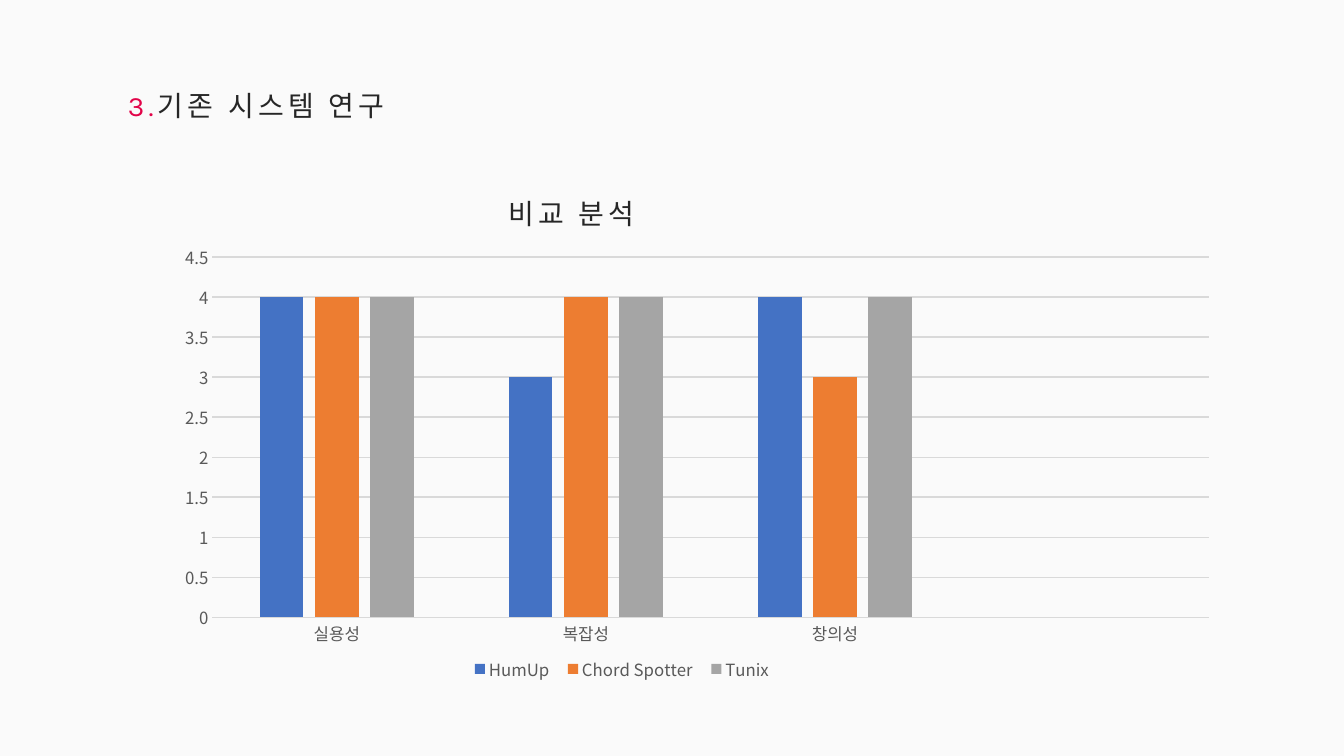
from dataclasses import dataclass

from lxml.etree import SubElement
from pptx import Presentation
from pptx.chart.axis import CategoryAxis, ValueAxis
from pptx.chart.data import CategoryChartData
from pptx.dml.color import RGBColor
from pptx.enum.chart import XL_CHART_TYPE, XL_LEGEND_POSITION, XL_TICK_MARK
from pptx.enum.text import MSO_AUTO_SIZE
from pptx.oxml import parse_xml
from pptx.oxml.ns import nsdecls, qn
from pptx.slide import Slide
from pptx.text.text import Font
from pptx.util import Inches, Pt

COLORS = {
    "background": "FAFAFA", "accent": "E20449", "heading": "262626",
    "label": "595959", "rule": "D9D9D9",
    "blue": "4472C4", "orange": "ED7D31", "gray": "A5A5A5",
}
KOREAN = "Noto Sans CJK KR"
SLIDE_W, SLIDE_H = Inches(13.33), Inches(7.5)
LETTER_SPACING = "300"
AXIS_FORMAT = {"major_tick_mark": XL_TICK_MARK.NONE, "minor_tick_mark": XL_TICK_MARK.NONE}
SCALE_FORMAT = {"minimum_scale": 0, "maximum_scale": 4.5, "major_unit": 0.5}


@dataclass(frozen=True)
class Box:
    """Shares of the width and height of whatever contains the box."""
    x: float
    y: float
    w: float
    h: float

    def on_slide(self) -> tuple[int, int, int, int]:
        return (int(self.x * SLIDE_W), int(self.y * SLIDE_H),
                int(self.w * SLIDE_W), int(self.h * SLIDE_H))


@dataclass(frozen=True)
class Span:
    text: str
    color: str
    font: str = KOREAN


@dataclass(frozen=True)
class Heading:
    box: Box
    spans: tuple[Span, ...]


@dataclass(frozen=True)
class Series:
    name: str
    values: tuple[int | None, ...]
    color: str


SECTION = Heading(Box(0.0878, 0.1107, 0.2213, 0.0587),
                  (Span("3.", "accent", "Karla"), Span("기존 시스템 연구", "heading")))
CHART_TITLE = Heading(Box(0.3706, 0.2533, 0.1155, 0.0587), (Span("비교 분석", "heading"),))
CHART_BOX = Box(0.1215, 0.3107, 0.7937, 0.6107)
PLOT_BOX = Box(0.046, 0.048, 0.934, 0.78)
LEGEND_BOX = Box(0.28, 0.91, 0.3, 0.06)
CATEGORIES = ("실용성", "복잡성", "창의성", "")
SERIES = (
    Series("HumUp", (4, 3, 4, None), "blue"),
    Series("Chord Spotter", (4, 4, 3, None), "orange"),
    Series("Tunix", (4, 4, 4, None), "gray"),
)


def rgb(name: str) -> RGBColor:
    return RGBColor.from_string(COLORS[name])


def style_font(font: Font, size: float, color: str, name: str = KOREAN) -> None:
    for attr, value in {"size": Pt(size), "name": name, "bold": False}.items():
        setattr(font, attr, value)
    font.color.rgb = rgb(color)


def add_heading(slide: Slide, heading: Heading) -> None:
    tf = slide.shapes.add_textbox(*heading.box.on_slide()).text_frame
    for attr, value in {"word_wrap": False, "auto_size": MSO_AUTO_SIZE.SHAPE_TO_FIT_TEXT}.items():
        setattr(tf, attr, value)
    p = tf.paragraphs[0]
    for span in heading.spans:
        r = p.add_run()
        r.text = span.text
        style_font(r.font, 20, span.color, span.font)
        props = r._r.get_or_add_rPr()
        props.set("spc", LETTER_SPACING)
        SubElement(props, qn("a:ea")).set("typeface", span.font)


def place_part(part, box: Box, index: int, inner: bool = False) -> None:
    """Give a plot area or legend a fixed place inside its chart."""
    for old in part.findall(qn("c:layout")):
        part.remove(old)
    target = '<c:layoutTarget val="inner"/>' if inner else ""
    modes = '<c:xMode val="edge"/><c:yMode val="edge"/>'
    sizes = "".join(f'<c:{k} val="{getattr(box, k)}"/>' for k in "xywh")
    part.insert(index, parse_xml(
        f'<c:layout {nsdecls("c")}><c:manualLayout>{target}{modes}{sizes}'
        "</c:manualLayout></c:layout>"))


def style_axis(axis: CategoryAxis | ValueAxis, formats: dict) -> None:
    for attr, value in formats.items():
        setattr(axis, attr, value)
    style_font(axis.tick_labels.font, 12, "label")


def add_comparison_chart(slide: Slide) -> None:
    data = CategoryChartData()
    data.categories = CATEGORIES
    for s in SERIES:
        data.add_series(s.name, s.values)
    chart = slide.shapes.add_chart(
        XL_CHART_TYPE.COLUMN_CLUSTERED, *CHART_BOX.on_slide(), data).chart
    chart.has_title = False
    style_font(chart.font, 10, "label")

    plot = chart.plots[0]
    for attr, value in {"gap_width": 219, "overlap": -27, "vary_by_categories": False}.items():
        setattr(plot, attr, value)
    for bars, s in zip(plot.series, SERIES):
        bars.format.fill.solid()
        bars.format.fill.fore_color.rgb = rgb(s.color)

    values, names = chart.value_axis, chart.category_axis
    style_axis(names, AXIS_FORMAT)
    style_axis(values, AXIS_FORMAT | SCALE_FORMAT | {"has_major_gridlines": True})
    values.format.line.fill.background()
    for line in (names.format.line, values.major_gridlines.format.line):
        line.width = Pt(0.75)
        line.color.rgb = rgb("rule")

    chart.has_legend = True
    legend = chart.legend
    legend.position = XL_LEGEND_POSITION.BOTTOM
    legend.include_in_layout = False
    style_font(legend.font, 12, "label")
    place_part(legend._element, LEGEND_BOX, 1)
    place_part(chart._chartSpace.chart.plotArea, PLOT_BOX, 0, inner=True)


def main() -> None:
    prs = Presentation()
    prs.slide_width, prs.slide_height = SLIDE_W, SLIDE_H
    slide = prs.slides.add_slide(prs.slide_layouts[6])
    slide.background.fill.solid()
    slide.background.fill.fore_color.rgb = rgb("background")
    add_heading(slide, SECTION)
    add_comparison_chart(slide)
    add_heading(slide, CHART_TITLE)
    prs.save("out.pptx")


if __name__ == "__main__":
    main()
